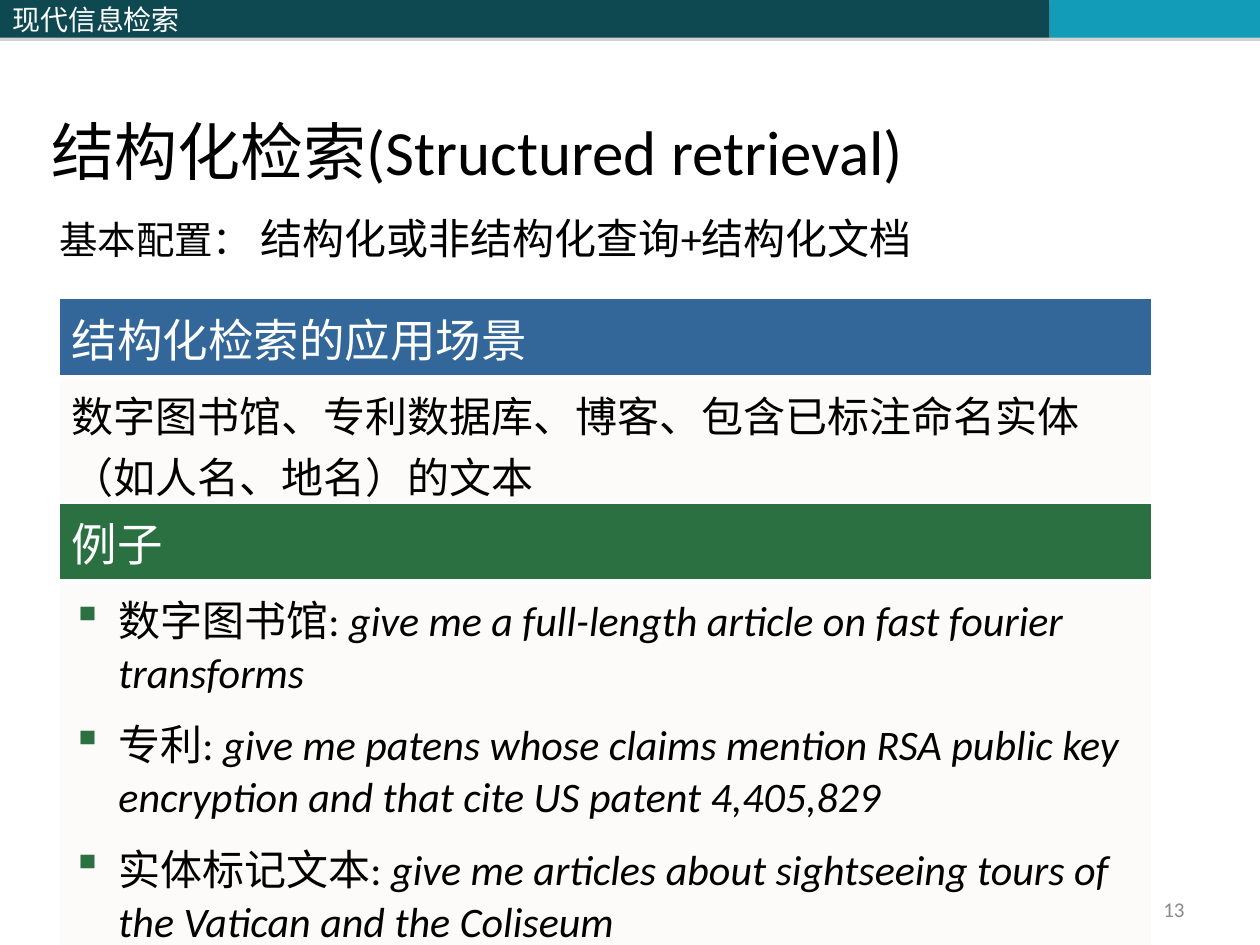
"""Build a slide on structured retrieval with two captioned tables."""
from dataclasses import dataclass

import lxml.etree
import pptx
import pptx.dml.color
import pptx.enum.shapes
import pptx.enum.text
import pptx.oxml.ns
import pptx.util

Inches = pptx.util.Inches
Anchor = pptx.enum.text.MSO_ANCHOR
Align = pptx.enum.text.PP_ALIGN
qn = pptx.oxml.ns.qn

COLORS = {
    "dark teal": "0E4851", "cyan": "139CB7", "shadow": "808080",
    "blue": "336699", "green": "2A7041", "panel": "FCFBF9",
    "white": "FFFFFF", "black": "000000", "grey": "898989",
}
HAN_FONT = "Noto Sans CJK SC"
INDENT = Inches(0.37)


@dataclass
class Span:
    text: str
    size: float = 24
    color: str = "black"
    font: str = "Calibri"
    italic: bool = False


@dataclass
class Bar:
    left: float
    width: float
    color: str


@dataclass
class Panel:
    top: float
    rows: tuple[float, float]
    color: str
    heading: str
    lines: list[list[Span]]
    bulleted: bool = False


BARS = [Bar(0, 4.08, "dark teal"), Bar(4.08, 4.25, "dark teal"), Bar(8.33, 1.67, "cyan")]

EXAMPLES = [
    ("数字图书馆: ", "give me a full-length article on fast fourier transforms"),
    ("专利: ", "give me patens whose claims mention RSA public key encryption "
             "and that cite US patent 4,405,829"),
    ("实体标记文本: ", "give me articles about sightseeing tours of the Vatican and the Coliseum"),
]

PANELS = [
    Panel(2.37, (0.56, 0.56), "blue", "结构化检索的应用场景",
          [[Span("数字图书馆、专利数据库、博客、", font="Open Sans"),
            Span("包含已标注命名实体（如人名、地名）的文本")]]),
    Panel(3.99, (0.55, 2.65), "green", "例子",
          [[Span(label), Span(query, italic=True)] for label, query in EXAMPLES], True),
]


def rgb(name: str) -> pptx.dml.color.RGBColor:
    return pptx.dml.color.RGBColor.from_string(COLORS[name])


def add_element(parent, tag: str, **attributes: str):
    return lxml.etree.SubElement(parent, qn(tag), attributes)


def add_color(parent, name: str):
    return add_element(parent, "a:srgbClr", val=COLORS[name])


def write(para, spans: list[Span]) -> None:
    for span in spans:
        run = para.add_run()
        run.text = span.text
        font = run.font
        font.name, font.size = span.font, pptx.util.Pt(span.size)
        font.bold, font.italic = False, span.italic
        font.color.rgb = rgb(span.color)
        add_element(font._element, "a:ea", typeface=HAN_FONT)


def format_list(para, bullet_color: str = "") -> None:
    para.space_before = pptx.util.Pt(7)
    properties = para._p.get_or_add_pPr()
    properties.set("marL", str(INDENT))
    properties.set("indent", str(-INDENT if bullet_color else 0))
    if bullet_color:
        add_color(add_element(properties, "a:buClr"), bullet_color)
        add_element(properties, "a:buChar", char="▪")
    else:
        add_element(properties, "a:buNone")


def place(shape, left: float, top: float, width: float, height: float) -> None:
    shape.left, shape.top = Inches(left), Inches(top)
    shape.width, shape.height = Inches(width), Inches(height)


def set_borders(cell, bottom: float) -> None:
    properties = cell._tc.get_or_add_tcPr()
    widths = {"a:lnL": 1, "a:lnR": 1, "a:lnT": 1, "a:lnB": bottom}
    for tag, width in widths.items():
        line = add_element(properties, tag, w=str(pptx.util.Pt(width)))
        add_color(add_element(line, "a:solidFill"), "white")


def fill_cell(cell, color: str, bottom: float) -> None:
    set_borders(cell, bottom)
    cell.fill.solid()
    cell.fill.fore_color.rgb = rgb(color)


def add_bar(slide, bar: Bar):
    shape = slide.shapes.add_shape(
        pptx.enum.shapes.MSO_SHAPE.RECTANGLE,
        Inches(bar.left), 0, Inches(bar.width), Inches(0.3))
    shape.fill.solid()
    shape.fill.fore_color.rgb = rgb(bar.color)
    shape.line.fill.background()
    shape.shadow.inherit = False
    effects = shape._element.spPr.find(qn("a:effectLst"))
    shadow = add_element(effects, "a:outerShdw", blurRad="0",
                         dist=str(pptx.util.Pt(1.8)), dir="5400000")
    add_element(add_color(shadow, "shadow"), "a:alpha", val="35000")
    return shape


def add_panel(slide, panel: Panel) -> None:
    table = slide.shapes.add_table(
        2, 1, Inches(0.47), Inches(panel.top), Inches(8.67), Inches(sum(panel.rows))).table
    table.first_row = table.horz_banding = False
    for row, height in zip(table.rows, panel.rows):
        row.height = Inches(height)
    heading, content = table.cell(0, 0), table.cell(1, 0)
    fill_cell(heading, panel.color, 3)
    fill_cell(content, "panel", 1)
    write(heading.text_frame.paragraphs[0], [Span(panel.heading, 26, "white", "Open Sans")])
    for index, spans in enumerate(panel.lines):
        frame = content.text_frame
        para = frame.add_paragraph() if index else frame.paragraphs[0]
        if panel.bulleted:
            format_list(para, panel.color)
        write(para, spans)


def main() -> None:
    deck = pptx.Presentation()
    deck.slide_width, deck.slide_height = Inches(10), Inches(7.5)
    slide = deck.slides.add_slide(deck.slide_layouts[1])

    title, body = slide.shapes.title, slide.placeholders[1]
    place(title, 0.31, 0.01, 9.38, 1.53)
    place(body, 0, 1.64, 9.69, 5.86)
    for box in (title, body):
        box.text_frame.auto_size = pptx.enum.text.MSO_AUTO_SIZE.NONE
    title.text_frame.vertical_anchor = Anchor.BOTTOM
    para = title.text_frame.paragraphs[0]
    para.alignment = Align.LEFT
    write(para, [Span("结构化检索(Structured retrieval)", 36)])
    para = body.text_frame.paragraphs[0]
    format_list(para)
    write(para, [Span("基本配置：", 22), Span(" 结构化或非结构化查询+结构化文档")])

    course_bar = [add_bar(slide, bar) for bar in BARS][0]
    course_bar.text_frame.vertical_anchor = Anchor.MIDDLE
    para = course_bar.text_frame.paragraphs[0]
    para.alignment = Align.LEFT
    write(para, [Span("现代信息检索", 16, "white", HAN_FONT)])

    for panel in PANELS:
        add_panel(slide, panel)

    number = slide.shapes.add_textbox(Inches(7.17), Inches(7.08), Inches(2.33), Inches(0.27))
    number.text_frame.word_wrap = True
    number.text_frame.vertical_anchor = Anchor.MIDDLE
    para = number.text_frame.paragraphs[0]
    para.alignment = Align.RIGHT
    write(para, [Span("13", 12, "grey")])

    deck.save("out.pptx")


if __name__ == "__main__":
    main()
